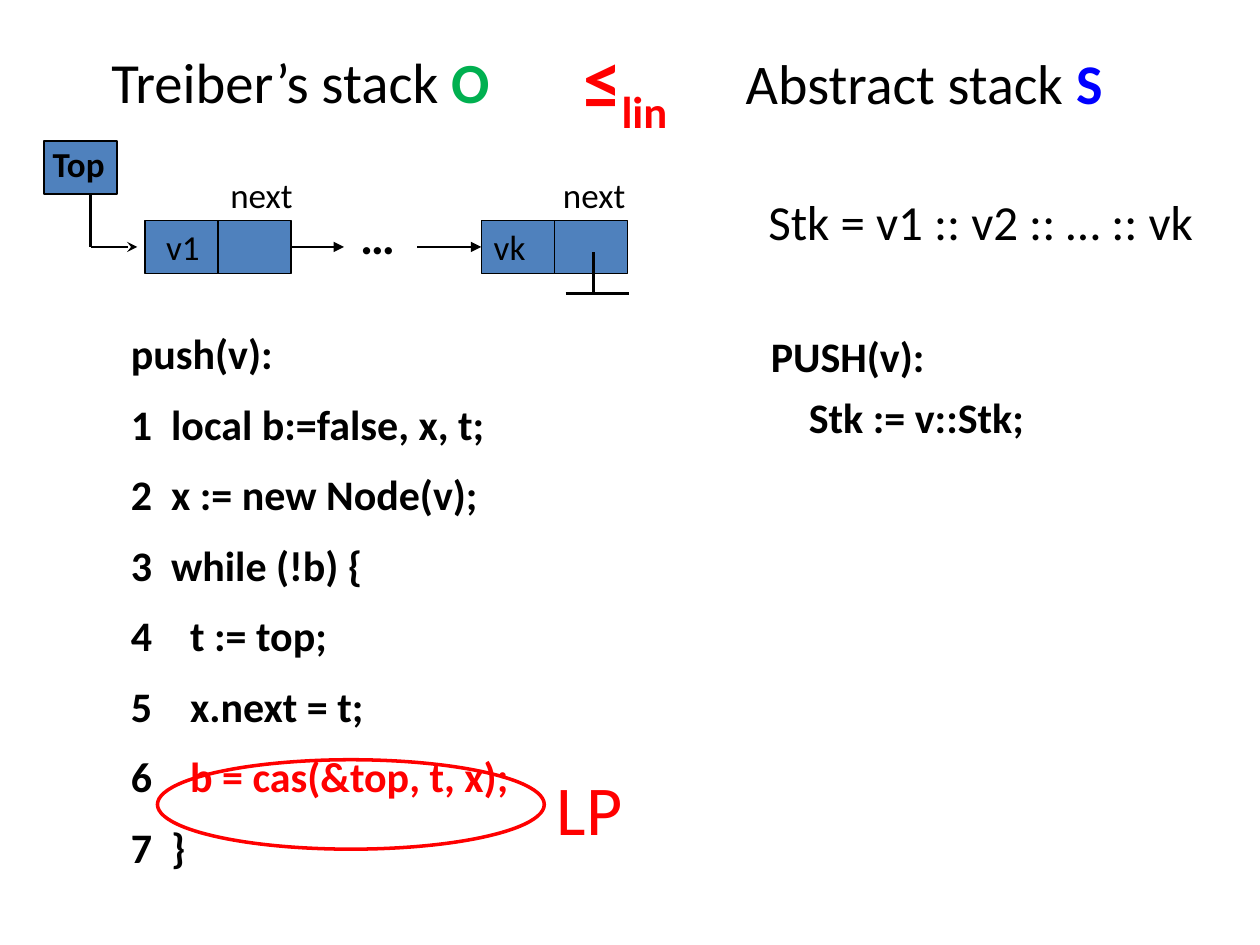
import lxml.etree
import pptx
import pptx.dml.color
import pptx.enum.shapes
import pptx.enum.text
import pptx.oxml.ns
import pptx.util

PX = pptx.util.Inches(1) // 100
COLORS = {
    "black": "000000",
    "cell": "4F81BD",
    "red": "FF0000",
    "green": "00B050",
    "blue": "0000FF",
}
CELL_WIDTH, CELL_HEIGHT = 58, 42
TOP = pptx.enum.text.MSO_ANCHOR.TOP
MIDDLE = pptx.enum.text.MSO_ANCHOR.MIDDLE
SHAPE = pptx.enum.shapes.MSO_SHAPE


def color(name):
    return pptx.dml.color.RGBColor.from_string(COLORS[name])


def add_text(shapes, box, lines, size, bold=False, space=0, anchor=TOP, wrap=True):
    shape = shapes.add_textbox(*(value * PX for value in box))
    frame = shape.text_frame
    frame.word_wrap = wrap
    frame.vertical_anchor = anchor
    for index, line in enumerate(lines):
        paragraph = frame.paragraphs[0] if index == 0 else frame.add_paragraph()
        if index:
            paragraph.space_before = pptx.util.Pt(space)
        for text, color_name, *emphasis in line:
            run = paragraph.add_run()
            run.text = text
            run.font.name = "Calibri"
            run.font.size = pptx.util.Pt(size)
            run.font.bold = bold or "bold" in emphasis
            run.font.color.rgb = color(color_name)
    return shape


def add_outline(shapes, kind, box, line_color, width, fill=None):
    shape = shapes.add_shape(kind, *(value * PX for value in box))
    shape.shadow.inherit = False
    if fill:
        shape.fill.solid()
        shape.fill.fore_color.rgb = color(fill)
    else:
        shape.fill.background()
    shape.line.color.rgb = color(line_color)
    shape.line.width = pptx.util.Pt(width)
    return shape


def add_line(shapes, start, end, width, arrow=None):
    connector = shapes.add_connector(
        pptx.enum.shapes.MSO_CONNECTOR.STRAIGHT,
        *(value * PX for value in (*start, *end)),
    )
    connector.line.color.rgb = color("black")
    connector.line.width = pptx.util.Pt(width)
    qn = pptx.oxml.ns.qn
    if arrow:
        lxml.etree.SubElement(connector.line._get_or_add_ln(), qn("a:tailEnd"), type=arrow)
    lxml.etree.SubElement(connector._element.spPr, qn("a:effectLst"))
    return connector


def add_cell(shapes, left, top):
    box = (left, top, CELL_WIDTH, CELL_HEIGHT)
    return add_outline(shapes, SHAPE.RECTANGLE, box, "black", 0.75, "cell")


def add_node(shapes, left, top):
    return [add_cell(shapes, left + index * CELL_WIDTH, top) for index in range(2)]


def add_linked_list(slide, left, top):
    shapes = slide.shapes.add_group_shape().shapes
    node_top = top + 67
    middle = node_top + CELL_HEIGHT // 2
    first_left, last_left = left + 83, left + 350
    first_end = first_left + 2 * CELL_WIDTH

    add_cell(shapes, left + 3, top + 4)
    first_node = add_node(shapes, first_left, node_top)
    last_node = add_node(shapes, last_left, node_top)

    leaving = add_line(shapes, (first_end, middle), (left + 241, middle), 0.75, "triangle")
    leaving.begin_connect(first_node[1], 3)
    arriving = add_line(shapes, (left + 299, middle), (last_left, middle), 0.75, "triangle")
    arriving.end_connect(last_node[0], 1)

    ground_x, ground_y = left + 439, top + 125
    add_line(shapes, (ground_x, top + 92), (ground_x, ground_y), 1.5)
    add_line(shapes, (ground_x - 22, ground_y), (ground_x + 28, ground_y), 1.5)
    corner = (left + 40, middle)
    add_line(shapes, (left + 40, top + 46), corner, 1.5)
    add_line(shapes, corner, (left + 77, middle), 1.5, "stealth")

    labels = [
        ("v1", 90, 66, 58, 20, False),
        ("next", 141, 25, 76, 20, False),
        ("vk", 350, 66, 58, 20, False),
        ("next", 405, 25, 90, 20, False),
        ("…", 244, 50, 55, 28, True),
        ("Top", 0, 0, 83, 20, True),
    ]
    for text, x, y, width, size, bold in labels:
        box = (left + x, top + y, width, 43)
        add_text(shapes, box, [[(text, "black")]], size, bold)


def add_headings(slide, left, top):
    concrete = add_text(
        slide.shapes, (left, top + 8, 343, 71),
        [[("Treiber’s stack ", "black"), ("O", "green", "bold")]], 32.4, anchor=MIDDLE)
    concrete.text_frame.paragraphs[0].alignment = pptx.enum.text.PP_ALIGN.CENTER

    abstract = add_text(
        slide.shapes, (left + 515, top + 23, 331, 47),
        [[("Abstract stack ", "black"), ("S", "blue", "bold")]], 32, anchor=MIDDLE)
    abstract.text_frame.margin_top = 0

    relation = add_text(
        slide.shapes, (left + 386, top, 96, 84),
        [[("≤", "red"), ("lin", "red")]], 44, bold=True, wrap=False)
    subscript = relation.text_frame.paragraphs[0].runs[1]
    subscript._r.get_or_add_rPr().set("baseline", "-25000")


def add_concrete_push(slide, left, top):
    code = [
        [("push(v):", "black")],
        [("1  local b:=false, x, t;", "black")],
        [("2  x := new Node(v);", "black")],
        [("3  while (!b) {", "black")],
        [("4    t := top;", "black")],
        [("5    x.next = t;", "black")],
        [("6    ", "black"), ("b = cas(&top, t, x);", "red")],
        [("7  }", "black")],
    ]
    add_text(slide.shapes, (left, top, 339, 475), code, 24, bold=True, space=11.5)
    add_outline(slide.shapes, SHAPE.OVAL, (left + 31, top + 348, 307, 71), "red", 2)
    add_text(slide.shapes, (left + 338, top + 348, 126, 77), [[("LP", "red")]], 40)


def add_abstract_push(slide, left, top):
    state = [[("Stk = v1 :: v2 :: … :: vk", "black")]]
    add_text(slide.shapes, (left, top, 370, 57), state, 28)
    code = [[("PUSH(v):", "black")], [("    Stk := v::Stk;", "black")]]
    add_text(slide.shapes, (left + 2, top + 110, 244, 99), code, 24, bold=True, space=6.4)


def main():
    presentation = pptx.Presentation()
    presentation.slide_width = 1000 * PX
    presentation.slide_height = 750 * PX
    slide = presentation.slides.add_slide(presentation.slide_layouts[6])
    add_headings(slide, 67, 21)
    add_linked_list(slide, 32, 108)
    add_concrete_push(slide, 94, 255)
    add_abstract_push(slide, 600, 147)
    presentation.save("out.pptx")


if __name__ == "__main__":
    main()
